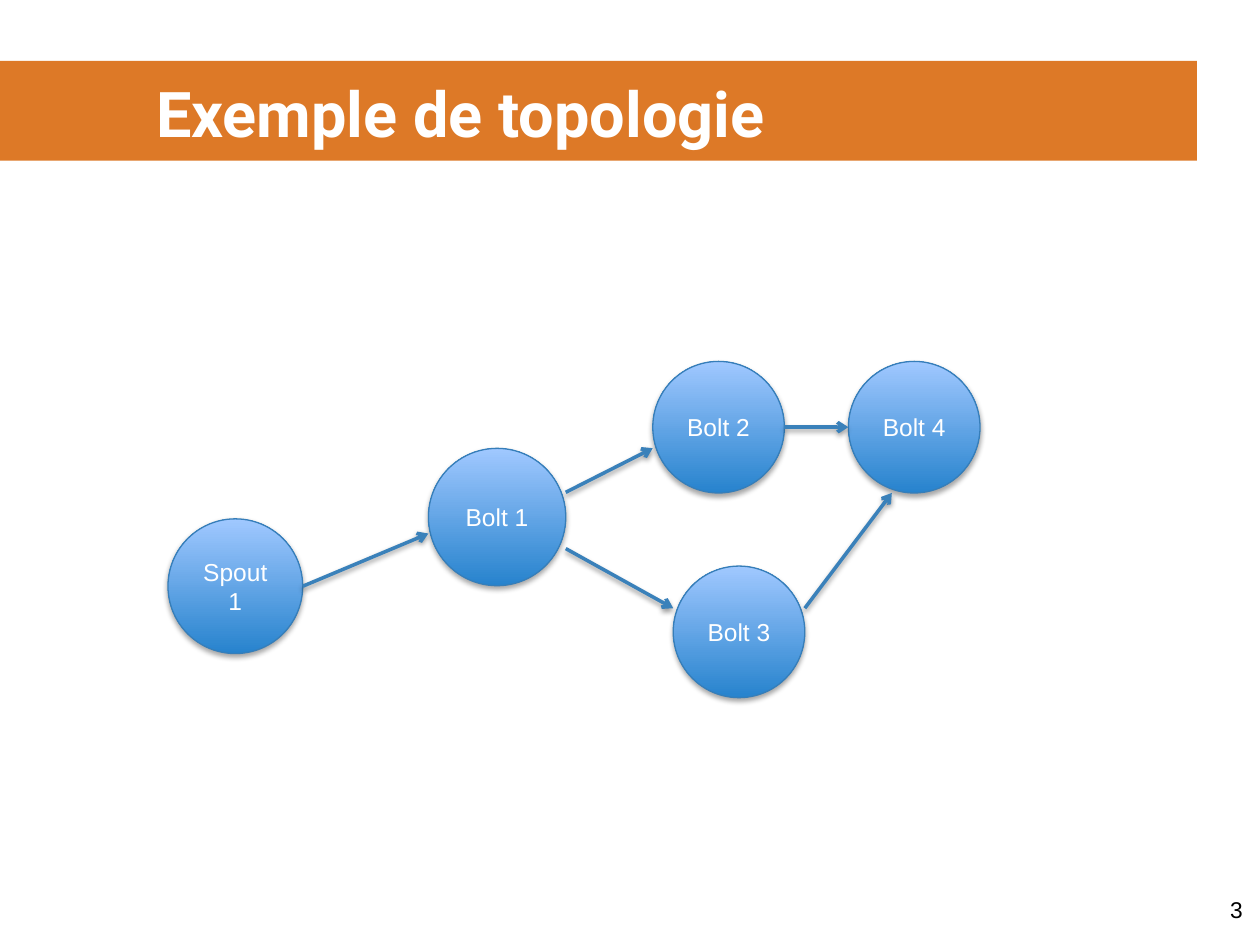
import pptx
import pptx.dml.color
import pptx.enum.shapes
import pptx.enum.text
import pptx.oxml
import pptx.oxml.ns
import pptx.util

Pt = pptx.util.Pt
ALIGN = pptx.enum.text.PP_ALIGN

COLORS = {
    "banner": "DD7927", "white": "FFFFFF", "black": "000000",
    "node_bottom": "2783CD", "node_top": "A0C8FF",
    "node_line": "367EB9", "arrow": "3A81BA",
}

NODES = {
    "Spout 1": (0, 90, 77),
    "Bolt 1": (148.8, 49.7, 78.5),
    "Bolt 2": (277, 0, 75.2),
    "Bolt 4": (388.8, 0, 75.2),
    "Bolt 3": (288.7, 117, 75.2),
}

ARROWS = [
    ("Spout 1", (1, 0.5), "Bolt 1", (0, 0.62)),
    ("Bolt 1", (1, 0.32), "Bolt 2", (0, 0.66)),
    ("Bolt 1", (1, 0.73), "Bolt 3", (0, 0.32)),
    ("Bolt 2", (1, 0.5), "Bolt 4", (0, 0.5)),
    ("Bolt 3", (1, 0.32), "Bolt 4", (0.33, 1)),
]


def color(name):
    """Return the named colour as an RGBColor."""
    return pptx.dml.color.RGBColor.from_string(COLORS[name])


def write_text(shape, text, size, font="Arial", fill="black", bold=False,
               align=ALIGN.LEFT, margin=None):
    """Write one formatted paragraph, centred vertically in the shape."""
    frame = shape.text_frame
    frame.word_wrap = True
    frame.auto_size = pptx.enum.text.MSO_AUTO_SIZE.NONE
    frame.vertical_anchor = pptx.enum.text.MSO_ANCHOR.MIDDLE
    if margin is not None:
        frame.margin_left = frame.margin_right = Pt(margin)
        frame.margin_top = frame.margin_bottom = Pt(margin)
    paragraph = frame.paragraphs[0]
    paragraph.alignment = align
    run = paragraph.add_run()
    run.text = text
    run.font.size = Pt(size)
    run.font.name = font
    run.font.bold = bold
    run.font.color.rgb = color(fill)


def add_shadow(shape, distance, opacity):
    """Give a shape or connector a soft shadow straight below it."""
    shape._element.spPr.append(pptx.oxml.parse_xml(
        f'<a:effectLst {pptx.oxml.ns.nsdecls("a")}>'
        f'<a:outerShdw blurRad="{Pt(3.1)}" dist="{Pt(distance)}" dir="5400000" rotWithShape="0">'
        f'<a:srgbClr val="{COLORS["black"]}"><a:alpha val="{opacity * 1000}"/></a:srgbClr>'
        '</a:outerShdw></a:effectLst>'))


def add_banner(slide, left, top, width, height):
    """Place the coloured band with the slide title on it."""
    band = slide.shapes.add_shape(
        pptx.enum.shapes.MSO_SHAPE.RECTANGLE, Pt(left), Pt(top), Pt(width), Pt(height))
    band.shadow.inherit = False
    band.fill.solid()
    band.fill.fore_color.rgb = color("banner")
    band.line.fill.background()
    title = slide.shapes.title
    band._element.addnext(title._element)
    title.left, title.top = Pt(left + 82), Pt(top + 1.2)
    title.width, title.height = Pt(width - 82), Pt(height - 1)
    write_text(title, "Exemple de topologie", 36, font="Roboto", fill="white",
               bold=True, margin=7.2)


def add_node(slide, text, left, top, diameter):
    """Place one labelled circle of the topology."""
    node = slide.shapes.add_shape(
        pptx.enum.shapes.MSO_SHAPE.OVAL, Pt(left), Pt(top), Pt(diameter), Pt(diameter))
    node.fill.gradient()
    node.fill.gradient_angle = 90
    for stop, name in zip(node.fill.gradient_stops, ("node_bottom", "node_top")):
        stop.color.rgb = color(name)
    node.line.color.rgb = color("node_line")
    node.line.width = Pt(0.75)
    add_shadow(node, 1.8, 35)
    write_text(node, text, 14, fill="white", align=ALIGN.CENTER)


def add_arrow(slide, start, end):
    """Draw one arrow between two points."""
    arrow = slide.shapes.add_connector(
        pptx.enum.shapes.MSO_CONNECTOR.STRAIGHT, *map(Pt, start + end))
    arrow.line.color.rgb = color("arrow")
    arrow.line.width = Pt(2)
    arrow.line._get_or_add_ln().append(pptx.oxml.parse_xml(
        f'<a:tailEnd {pptx.oxml.ns.nsdecls("a")} type="arrow"/>'))
    add_shadow(arrow, 1.6, 38)


def add_topology(slide, left, top):
    """Place the circles and the arrows that join them."""
    def locate(name, share):
        """Return the point at the given share of a circle's box."""
        x, y, diameter = NODES[name]
        return left + x + share[0] * diameter, top + y + share[1] * diameter

    for name, (x, y, diameter) in NODES.items():
        add_node(slide, name, left + x, top + y, diameter)
    for source, exit_share, target, entry_share in ARROWS:
        add_arrow(slide, locate(source, exit_share), locate(target, entry_share))


def add_page_number(slide, left, top, width, height):
    """Place the page number, aligned to the right."""
    box = slide.shapes.add_textbox(Pt(left), Pt(top), Pt(width), Pt(height))
    write_text(box, "3", 13, align=ALIGN.RIGHT, margin=7.2)


def main():
    """Build the slide and save the presentation."""
    presentation = pptx.Presentation()
    presentation.slide_width, presentation.slide_height = Pt(720), Pt(540)
    slide = presentation.slides.add_slide(presentation.slide_layouts[5])
    add_banner(slide, 0, 34.8, 684, 57)
    add_topology(slide, 96, 206.5)
    add_page_number(slide, 674, 499, 43.2, 41)
    presentation.save("out.pptx")


main()
